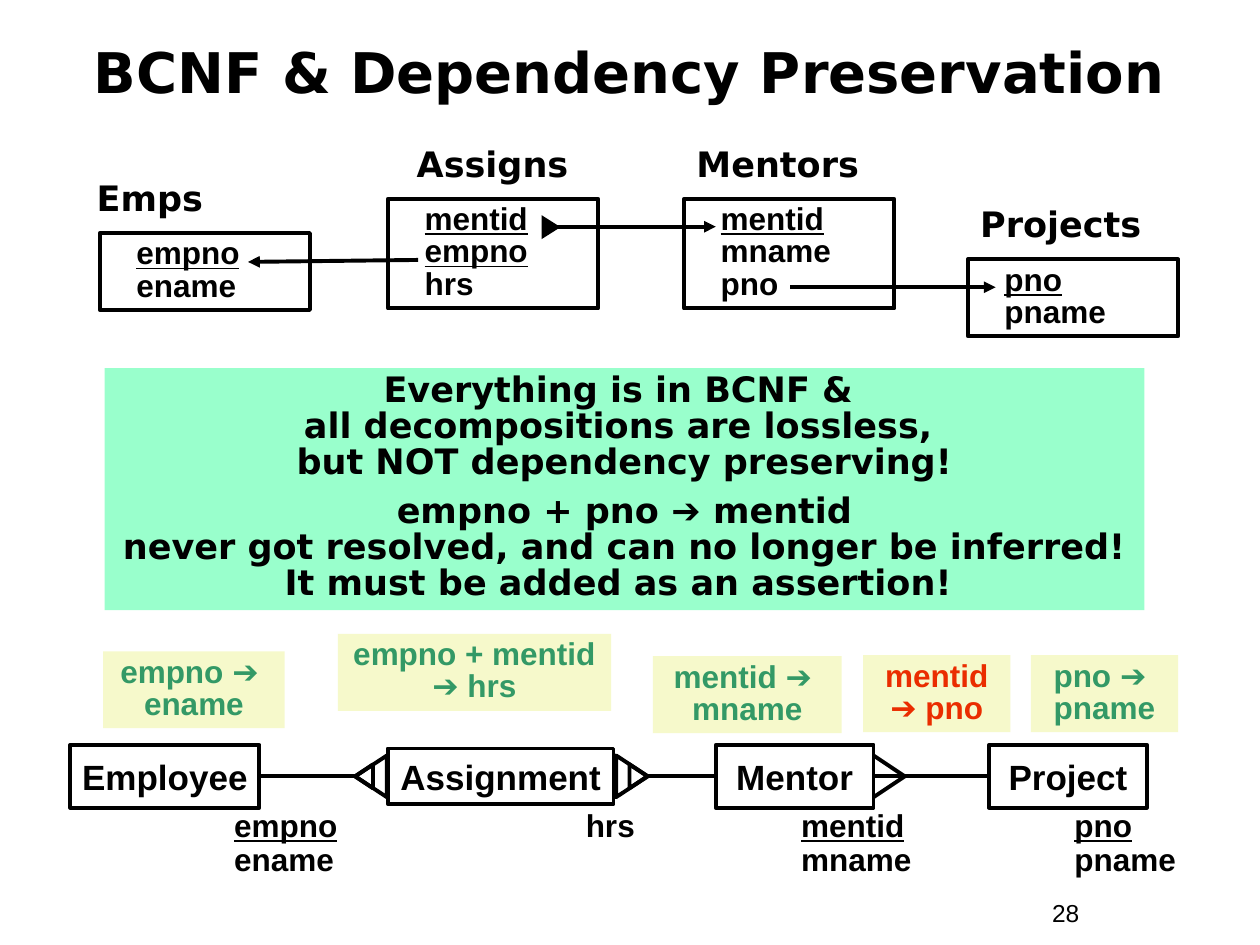
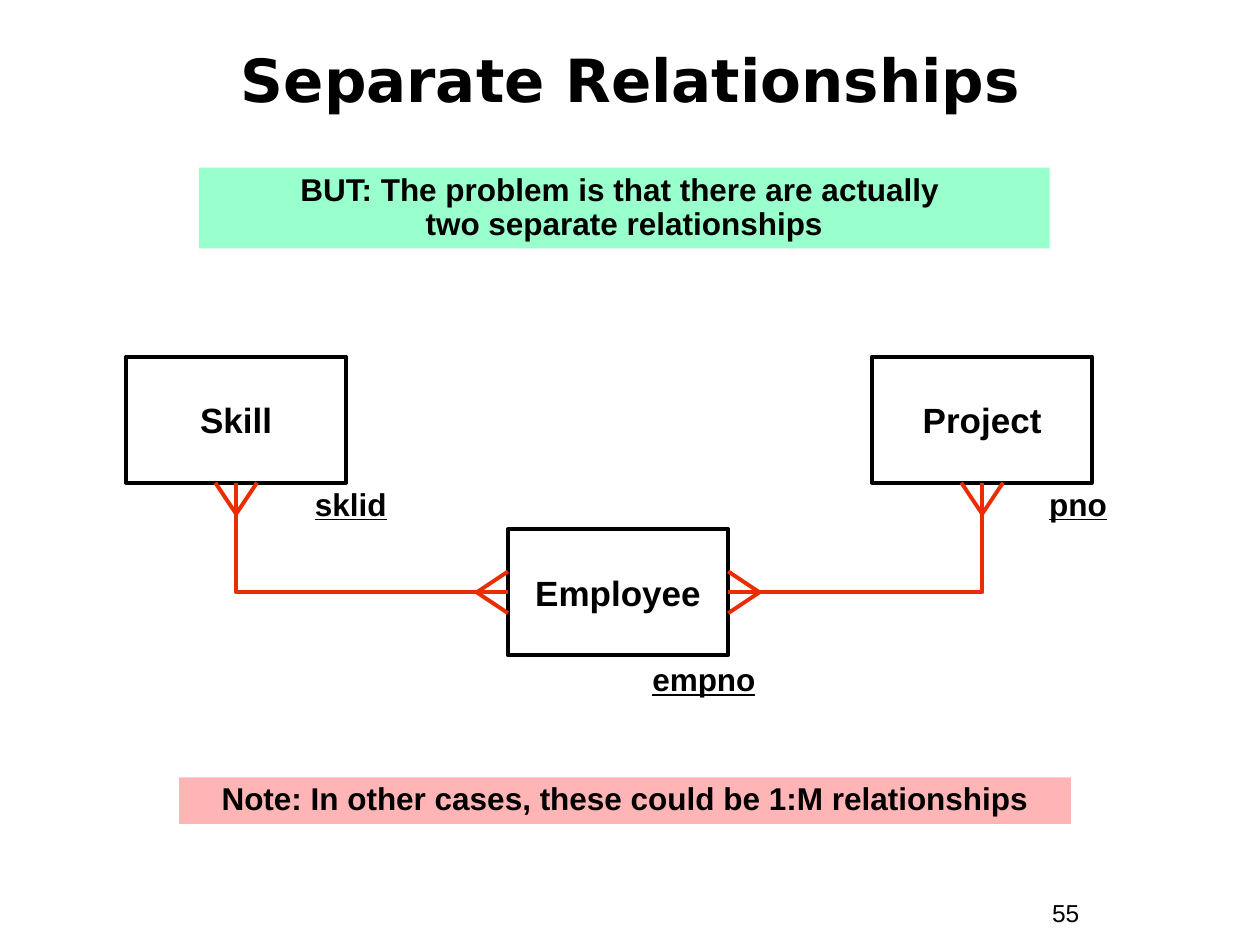
"""Build two slides on BCNF, dependency preservation and separate relationships."""
import pptx
import pptx.util
import pptx.dml.color
import pptx.enum.shapes
import pptx.enum.text
import pptx.oxml.ns
from lxml import etree

Cm, Pt = pptx.util.Cm, pptx.util.Pt
RGB = pptx.dml.color.RGBColor
Kind = pptx.enum.shapes.MSO_SHAPE
Link = pptx.enum.shapes.MSO_CONNECTOR
Align = pptx.enum.text.PP_ALIGN
Anchor = pptx.enum.text.MSO_ANCHOR
qn = pptx.oxml.ns.qn

BLACK = RGB(0, 0, 0)
MINT = RGB(0x99, 0xFF, 0xCC)
CREAM = RGB(0xF6, 0xF9, 0xCB)
PINK = RGB(0xFF, 0xB5, 0xB5)
GREEN = RGB(0x33, 0x99, 0x66)
RED = RGB(0xEA, 0x2D, 0x00)
ARIAL, SANS = "Arial", "DejaVu Sans"

TABLES = [
    ("Emps", 2.01, 4.7, 1.7, ["empno"], ["ename"]),
    ("Assigns", 7.82, 4.01, 8.15, ["mentid", "empno"], ["hrs"]),
    ("Mentors", 13.79, 4.01, 13.79, ["mentid"], ["mname", "pno"]),
    ("Projects", 19.51, 5.23, 19.51, ["pno"], ["pname"]),
]
ARROWS = [
    ((10.95, 4.57), (14.43, 4.57)),
    ((8.43, 5.24), (5, 5.28)),
    ((15.93, 5.79), (20.07, 5.79)),
]
VERDICT = [
    [("Everything is in BCNF & \nall decompositions are lossless, \n"
      "but NOT dependency preserving!", SANS, False)],
    [("empno + pno ", SANS, False), ("➔", ARIAL, False),
     (" mentid\nnever got resolved, and can no longer be inferred!\n"
      "It must be added as an assertion! ", SANS, False)],
]
RULES = [
    ("empno ➔ \nename", 2.08, 13.13, 3.66, GREEN),
    ("mentid ➔ \nmname", 13.16, 13.23, 3.81, GREEN),
    ("pno ➔ \npname", 20.78, 13.21, 2.97, GREEN),
    ("empno + mentid ➔ hrs", 6.81, 12.78, 5.51, GREEN),
    ("mentid ➔ pno", 17.4, 13.21, 2.97, RED),
]
AXIS = 15.65
CHAIN = [
    ("Employee", 1.42, 3.81, 1.27, 4.47, ["empno"], ["ename"]),
    ("Assignment", 7.82, 4.55, 1.12, 11.56, [], ["hrs"]),
    ("Mentor", 14.43, 3.18, 1.27, 15.9, ["mentid"], ["mname"]),
    ("Project", 19.94, 3.18, 1.27, 21.41, ["pno"], ["pname"]),
]
FEET = [
    (12.74, 90, 0.84, 0.64), (12.87, 90, 0.48, 0.36),
    (7.48, 270, 0.84, 0.64), (7.34, 270, 0.48, 0.36),
]
WIDE, TALL = 4.44, 2.54
PARTS = [
    ("Skill", 2.54, 7.19, "sklid", 6.1, 9.73),
    ("Project", 17.58, 7.19, "pno", 20.9, 9.73),
    ("Employee", 10.24, 10.67, "empno", 12.9, 13.26),
]
BANDS = [
    ("BUT: The problem is that there are actually \ntwo separate relationships",
     (4.01, 3.38, 17.15, 1.63), MINT),
    ("Note: In other cases, these could be 1:M relationships",
     (3.61, 15.67, 17.98, 0.94), PINK),
]
DEPTH, SPREAD = 0.63, 0.42


def plain(text, face=ARIAL):
    return [[(text, face, False)]]


def fields(keys, rest):
    return [[(name, ARIAL, name in keys)] for name in keys + rest]


def write(frame, paras, size=18, color=BLACK, align=Align.LEFT,
          space=1.0, gap=0, bold=True):
    for at, runs in enumerate(paras):
        para = frame.add_paragraph() if at else frame.paragraphs[0]
        para.alignment = align
        para.line_spacing = space
        if at and gap:
            para.space_before = Pt(gap)
        for text, face, under in runs:
            for row, line in enumerate(text.split("\n")):
                if row:
                    para.add_line_break()
                run = para.add_run()
                run.text = line
                font = run.font
                font.name, font.size, font.bold = face, Pt(size), bold
                font.underline = under
                font.color.rgb = color


def note(slide, box, paras, **style):
    frame = slide.shapes.add_textbox(*map(Cm, box)).text_frame
    frame.word_wrap = True
    write(frame, paras, **style)


def shape(slide, box, fill=None, edge=None, kind=Kind.RECTANGLE):
    item = slide.shapes.add_shape(kind, *map(Cm, box))
    item.shadow.inherit = False
    if fill is None:
        item.fill.background()
    else:
        item.fill.solid()
        item.fill.fore_color.rgb = fill
    if edge is None:
        item.line.fill.background()
    else:
        item.line.color.rgb = edge
        item.line.width = Pt(2.25)
    item.text_frame.vertical_anchor = Anchor.TOP
    return item


def band(slide, box, fill, paras, **style):
    frame = shape(slide, box, fill).text_frame
    write(frame, paras, align=Align.CENTER, **style)


def entity(slide, name, box):
    item = shape(slide, box, edge=BLACK)
    frame = item.text_frame
    frame.word_wrap = False
    frame.vertical_anchor = Anchor.MIDDLE
    write(frame, plain(name), size=20, align=Align.CENTER)
    return item


def line(slide, start, end, color=BLACK, head=False, kind=Link.STRAIGHT):
    item = slide.shapes.add_connector(kind, *map(Cm, start + end))
    item.line.color.rgb = color
    item.line.width = Pt(2.25)
    if head:
        etree.SubElement(item.line._get_or_add_ln(), qn("a:tailEnd"), type="triangle")
    etree.SubElement(item._element.spPr, qn("a:effectLst"))
    return item


def foot(slide, tip, base, color):
    for side in (-SPREAD, SPREAD):
        if tip[0] == base[0]:
            toe = (base[0] + side, base[1])
        else:
            toe = (base[0], base[1] + side)
        line(slide, tip, toe, color)


def start(deck, title, box, size, number):
    slide = deck.slides.add_slide(deck.slide_layouts[5])
    head = slide.shapes.title
    head.left, head.top, head.width, head.height = map(Cm, box)
    frame = head.text_frame
    frame.auto_size = pptx.enum.text.MSO_AUTO_SIZE.NONE
    frame.vertical_anchor = Anchor.MIDDLE
    write(frame, plain(title, SANS), size=size, align=Align.CENTER, space=0.85)
    note(slide, (20.96, 17.98, 2.34, 0.86), plain(number), size=14, bold=False)
    return slide


def keep(deck):
    slide = start(deck, "BCNF & Dependency Preservation",
                  (0.84, 0.36, 23.7, 2.34), 32, "28")
    for name, left, top, tag, keys, rest in TABLES:
        note(slide, (tag, top - 1.27, 4.24, 1.12), plain(name, SANS), size=20)
        tall = 0.23 + 0.66 * len(keys + rest)
        frame = shape(slide, (left, top, 4.24, tall), edge=BLACK).text_frame
        frame.margin_left = Cm(0.74)
        write(frame, fields(keys, rest), space=0.85)
    for tail, tip in ARROWS:
        line(slide, tail, tip, head=True)
    shape(slide, (10.87, 4.39, 0.48, 0.38), BLACK, kind=Kind.ISOSCELES_TRIANGLE).rotation = 90

    band(slide, (2.11, 7.42, 20.96, 4.88), MINT, VERDICT, size=20, space=0.85, gap=8)
    for text, left, top, wide, color in RULES:
        band(slide, (left, top, wide, 1.55), CREAM, plain(text), color=color, space=0.85)

    boxes = {}
    for name, left, wide, tall, tag, keys, rest in CHAIN:
        boxes[name] = entity(slide, name, (left, AXIS - tall / 2, wide, tall))
        rows = fields(keys, rest)
        note(slide, (tag, 16.21, 2.97, 0.94 + 0.69 * (len(rows) - 1)), rows, space=0.9)
    for mid, turn, wide, tall in FEET:
        box = (mid - wide / 2, AXIS - tall / 2, wide, tall)
        shape(slide, box, edge=BLACK, kind=Kind.ISOSCELES_TRIANGLE).rotation = turn
    line(slide, (5.23, AXIS), (7.16, AXIS)).begin_connect(boxes["Employee"], 3)
    line(slide, (13.06, AXIS), (14.43, AXIS)).end_connect(boxes["Mentor"], 1)
    last = line(slide, (17.61, AXIS), (19.94, AXIS))
    last.begin_connect(boxes["Mentor"], 3)
    last.end_connect(boxes["Project"], 1)
    foot(slide, (17.61 + DEPTH, AXIS), (17.61, AXIS), BLACK)


def split(deck):
    slide = start(deck, "Separate Relationships", (0.43, 0.84, 24.56, 1.7), 34, "55")
    for text, box, fill in BANDS:
        band(slide, box, fill, plain(text), space=0.9)
    boxes, spots = {}, {}
    for name, left, top, key, tag, low in PARTS:
        boxes[name] = entity(slide, name, (left, top, WIDE, TALL))
        spots[name] = (left, top)
        note(slide, (tag, low, 2.97, 0.94), fields([key], []), space=0.9)
    left, top = spots["Employee"]
    level = top + TALL / 2
    for name, edge, site, way in (("Skill", left, 1, -1), ("Project", left + WIDE, 3, 1)):
        mid, base = spots[name][0] + WIDE / 2, spots[name][1] + TALL
        bend = line(slide, (edge, level), (mid, base), RED, kind=Link.ELBOW)
        bend._element.spPr.find(qn("a:prstGeom")).set("prst", "bentConnector2")
        bend.begin_connect(boxes["Employee"], site)
        bend.end_connect(boxes[name], 2)
        foot(slide, (edge + way * DEPTH, level), (edge, level), RED)
        foot(slide, (mid, base + DEPTH), (mid, base), RED)


def main():
    deck = pptx.Presentation()
    deck.slide_width, deck.slide_height = Cm(25.4), Cm(19.05)
    keep(deck)
    split(deck)
    deck.save("out.pptx")


if __name__ == "__main__":
    main()
